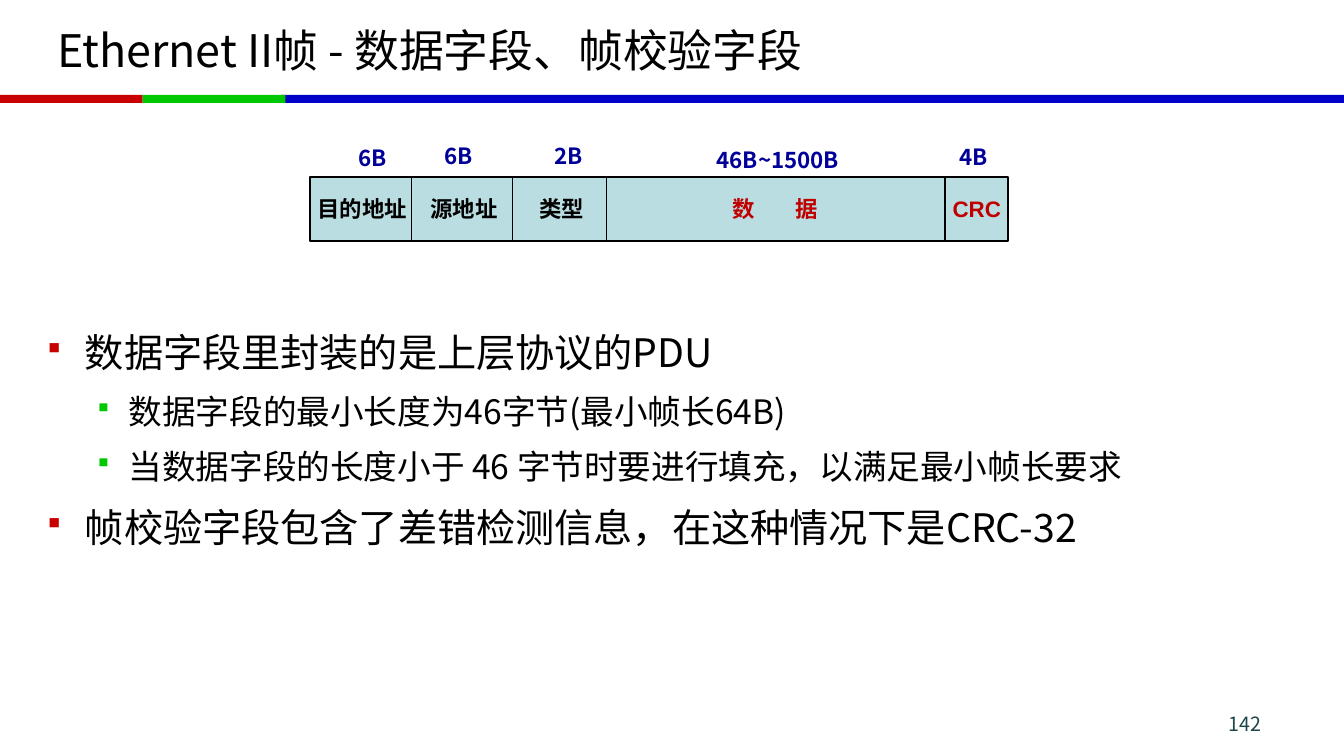
from lxml import etree
from pptx import Presentation
from pptx.dml.color import RGBColor
from pptx.enum.shapes import MSO_CONNECTOR, MSO_SHAPE
from pptx.enum.text import MSO_ANCHOR, PP_ALIGN
from pptx.oxml.ns import qn
from pptx.util import Pt

# Content
COLORS = {"black": "000000", "red": "C80000", "green": "00C800", "blue": "0000C8",
          "navy": "000099", "crimson": "C00000", "cell": "BADDE1", "page": "1E4649"}
SANS, ARIAL = "Noto Sans CJK SC", "Arial"
TITLE = "Ethernet II帧 - 数据字段、帧校验字段"
PAGE = "142"
BULLETS = [
    (0, "数据字段里封装的是上层协议的PDU"),
    (1, "数据字段的最小长度为46字节(最小帧长64B)"),
    (1, "当数据字段的长度小于 46 字节时要进行填充，以满足最小帧长要求"),
    (0, "帧校验字段包含了差错检测信息，在这种情况下是CRC-32"),
]
# Level: text size, left margin, hanging indent, bullet colour
LEVELS = [(28, 27, 27, "red"), (24, 58.3, 22.5, "green")]
# Left, width, colour
BANDS = [(200.9, 759.1, "blue"), (0, 102, "red"), (102, 102, "green")]
# Frame field: width, name, name left, name colour, size, size left, size top
FIELDS = [
    (72.6, "目的地址", 217.4, "black", "6B", 246.8, 95),
    (72, "源地址", 298.1, "black", "6B", 308.2, 93.5),
    (67.2, "类型", 375.8, "black", "2B", 386.6, 93.5),
    (241.8, "数\t据", 514, "crimson", "46B~1500B", 502.5, 96.4),
    (45.4, "CRC", 671, "crimson", "4B", 675.9, 94.2),
]
FRAME_LEFT, FRAME_TOP, FRAME_H = 221.3, 126.7, 45.4
NAME_TOP, LABEL_H, DATA_TAB = 131, 31, 45

prs = Presentation()
prs.slide_width, prs.slide_height = Pt(960), Pt(540)
slide = prs.slides.add_slide(prs.slide_layouts[6])


def rgb(name):
    return RGBColor.from_string(COLORS[name])


def add_rect(x, y, w, h, fill, line=None):
    sp = slide.shapes.add_shape(MSO_SHAPE.RECTANGLE, Pt(x), Pt(y), Pt(w), Pt(h))
    sp.shadow.inherit = False
    sp.fill.solid()
    sp.fill.fore_color.rgb = rgb(fill)
    if line:
        sp.line.color.rgb = rgb("black")
        sp.line.width = Pt(line)
    else:
        sp.line.fill.background()


def add_box(x, y, w, h, margins=(7.2, 3.6), anchor=MSO_ANCHOR.TOP):
    tf = slide.shapes.add_textbox(Pt(x), Pt(y), Pt(w), Pt(h)).text_frame
    tf.margin_left = tf.margin_right = Pt(margins[0])
    tf.margin_top = tf.margin_bottom = Pt(margins[1])
    tf.word_wrap = True
    tf.vertical_anchor = anchor
    return tf


def write(p, text, size, color="black", font=SANS, bold=False, align=PP_ALIGN.LEFT, spacing=1.0):
    p.alignment = align
    p.line_spacing = spacing
    r = p.add_run()
    r.text = text
    r.font.size, r.font.bold, r.font.name = Pt(size), bold, font
    r.font.color.rgb = rgb(color)
    etree.SubElement(r.font._element, qn("a:ea"), typeface=SANS)


def add_bullet(p, margin, hang, color):
    pPr = p._p.get_or_add_pPr()
    pPr.set("marL", str(Pt(margin)))
    pPr.set("indent", str(-Pt(hang)))
    clr = etree.SubElement(pPr, qn("a:buClr"))
    etree.SubElement(clr, qn("a:srgbClr"), val=COLORS[color])
    etree.SubElement(pPr, qn("a:buSzPct"), val="80000")
    # In Wingdings this character is a small filled square
    etree.SubElement(pPr, qn("a:buFont"), typeface="Wingdings", charset="2")
    etree.SubElement(pPr, qn("a:buChar"), char="§")


def add_label(text, x, y, color, font):
    width = 114 if len(text) > 4 else 87.1
    p = add_box(x, y, width, LABEL_H, (9.4, 4.3)).paragraphs[0]
    if "\t" in text:
        tabs = etree.SubElement(p._p.get_or_add_pPr(), qn("a:tabLst"))
        etree.SubElement(tabs, qn("a:tab"), pos=str(Pt(DATA_TAB)), algn="l")
    write(p, text, 16, color, font, bold=True, spacing=1.2)


# Title and coloured rule
for left, width, color in BANDS:
    add_rect(left, 67.7, width, 5.8, color)
tf = add_box(33.8, 5.2, 892, 60.5, anchor=MSO_ANCHOR.MIDDLE)
write(tf.paragraphs[0], TITLE, 32)

# Bulleted text
tf = add_box(26.6, 224.6, 855.4, 188.6)
for i, (level, text) in enumerate(BULLETS):
    size, margin, hang, color = LEVELS[level]
    p = tf.paragraphs[0] if i == 0 else tf.add_paragraph()
    p.level = level
    add_bullet(p, margin, hang, color)
    p.space_before = Pt(size * 0.2 if i else 0)
    write(p, text, size, spacing=1.2)

# Page number
tf = add_box(844.6, 504.7, 63.4, 21.6)
write(tf.paragraphs[0], PAGE, 14, "page", align=PP_ALIGN.RIGHT)

# Frame: background, dividers, names and sizes
add_rect(FRAME_LEFT, FRAME_TOP, sum(f[0] for f in FIELDS), FRAME_H, "cell", 1.5)
edge = FRAME_LEFT
for width, name, name_x, color, size, size_x, size_y in FIELDS:
    if edge > FRAME_LEFT:
        line = slide.shapes.add_connector(MSO_CONNECTOR.STRAIGHT, Pt(edge), Pt(FRAME_TOP),
                                          Pt(edge), Pt(FRAME_TOP + FRAME_H))
        line.line.color.rgb = rgb("black")
        line.line.width = Pt(1)
        etree.SubElement(line._element.spPr, qn("a:effectLst"))
    edge += width
    add_label(name, name_x, NAME_TOP, color, ARIAL)
    add_label(size, size_x, size_y, "navy", SANS)

prs.save("out.pptx")
